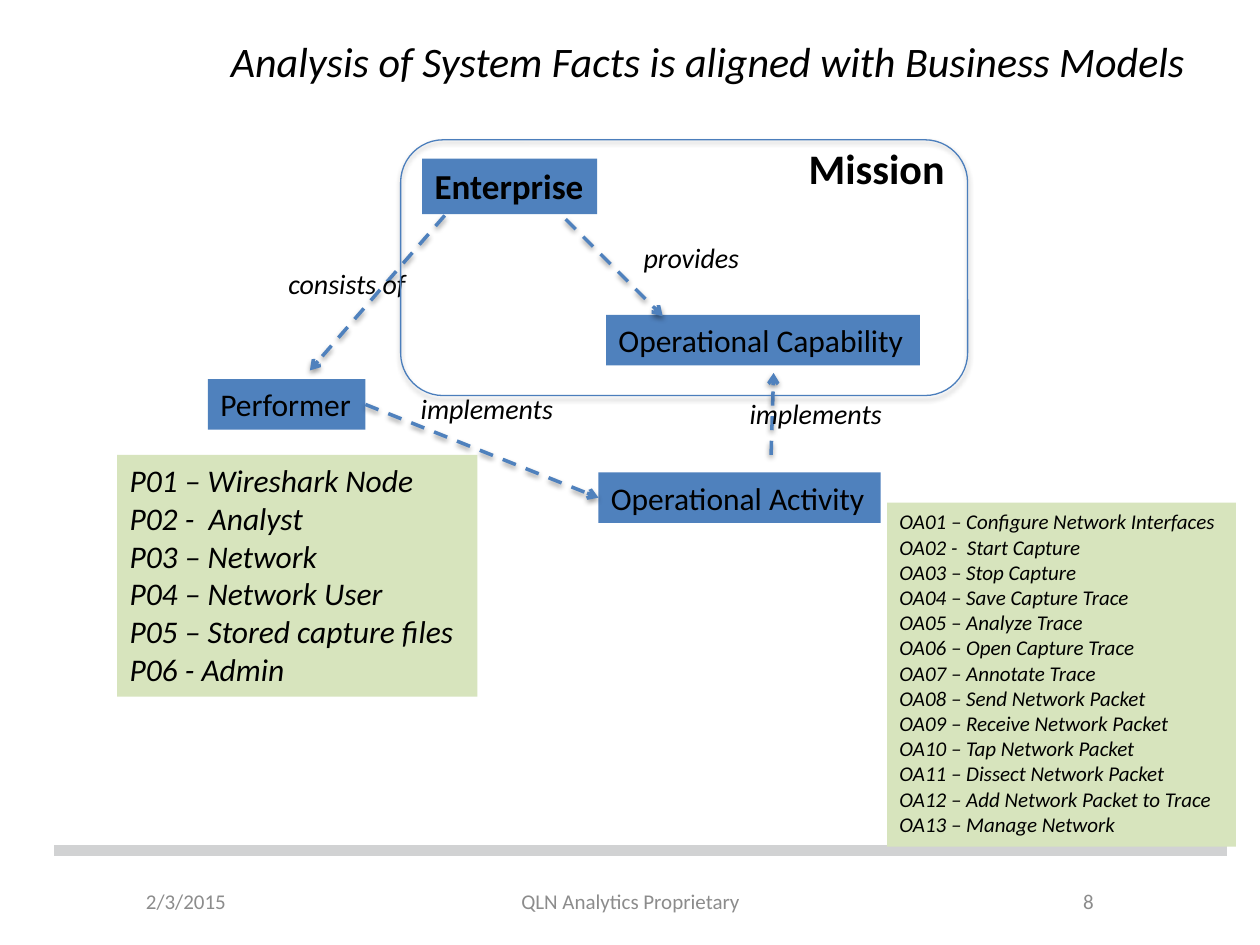
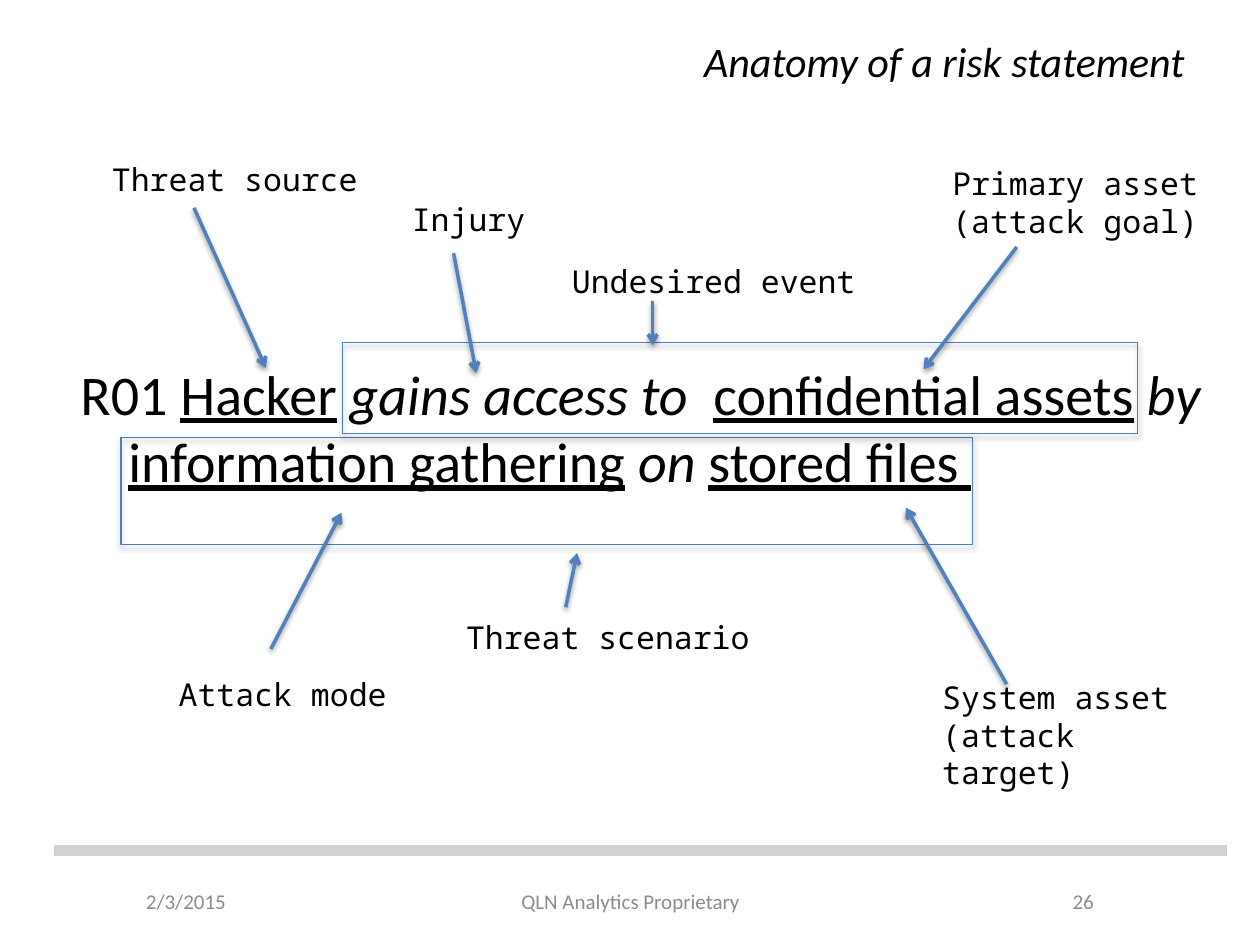
from lxml import etree
from pptx import Presentation, util as u
from pptx.dml.color import RGBColor
from pptx.enum import dml, shapes, text
from pptx.oxml import ns

PX = 9144  # EMU in one px, 100 px to the inch
INK = {"black": "000000", "grey": "8C8C8C", "band": "D1D2D3",
       "blue": "4F81BD", "edge": "4B7EBC", "green": "D7E4BD"}
SANS, MONO = "Calibri", "Noto Sans Mono"
RECT = shapes.MSO_SHAPE.RECTANGLE
ROUND = shapes.MSO_SHAPE.ROUNDED_RECTANGLE
ALIGN, ANCHOR = text.PP_ALIGN, text.MSO_ANCHOR


def px(*vals):
    return [u.Emu(v * PX) for v in vals]


def ink(name):
    return RGBColor.from_string(INK[name])


def node(top, tag, **attrs):
    return etree.SubElement(top, ns.qn(tag), {k: str(v) for k, v in attrs.items()})


def shade(effects, dist, alpha):
    """Soft shadow straight below."""
    drop = node(effects, "a:outerShdw", blurRad=u.Pt(3.1), dist=u.Pt(dist),
                dir=5400000, rotWithShape=0)
    node(node(drop, "a:srgbClr", val=INK["black"]), "a:alpha", val=alpha * 1000)


def write(shape, lines, size=18, font=SANS, color="black", bold=False, italic=False,
          align=ALIGN.LEFT, anchor=ANCHOR.TOP, wrap=False, grow=True, hang=0):
    """Fill a shape; a line is a string or a list of (string, style) runs."""
    frame = shape.text_frame
    frame.word_wrap, frame.vertical_anchor = wrap, anchor
    fit = text.MSO_AUTO_SIZE
    frame.auto_size = fit.SHAPE_TO_FIT_TEXT if grow else fit.NONE
    for n, line in enumerate([lines] if isinstance(lines, str) else lines):
        par = frame.add_paragraph() if n else frame.paragraphs[0]
        par.alignment = align
        if hang:
            props = par._p.get_or_add_pPr()
            props.set("marL", str(hang * PX))
            props.set("indent", str(-hang * PX))
        for words, style in [(line, "")] if isinstance(line, str) else line:
            run = par.add_run()
            run.text = words
            face = run.font
            face.name, face.size, face.bold = font, u.Pt(size), bold
            face.italic = italic or style == "i"
            face.underline = style == "u"
            face.color.rgb = ink(color)


class Deck:
    def __init__(self):
        self.prs = Presentation()
        self.prs.slide_width, self.prs.slide_height = px(1000, 750)
        self.slide = None

    def page(self, title, num):
        """New slide with title, band and footer."""
        self.slide = self.prs.slides.add_slide(self.prs.slide_layouts[6])
        foot = [(106, 177, "2/3/2015", ALIGN.LEFT),
                (717, 161, num, ALIGN.RIGHT),
                (342, 317, "QLN Analytics Proprietary", ALIGN.CENTER)]
        for x, w, words, align in foot:
            self.label(x, 695, w, 40, words, size=12, color="grey", align=align,
                       anchor=ANCHOR.MIDDLE, wrap=True, grow=False)
        self.line((43, 675), (974, 675), "band", 6)
        self.label(50, 21, 900, 55, title, size=24, italic=True, align=ALIGN.RIGHT,
                   anchor=ANCHOR.MIDDLE, wrap=True, grow=False)

    def label(self, x, y, w, h, lines, **fmt):
        write(self.slide.shapes.add_textbox(*px(x, y, w, h)), lines, **fmt)

    def card(self, x, y, w, h, lines, fill="blue", **fmt):
        box = self.slide.shapes.add_shape(RECT, *px(x, y, w, h))
        box.shadow.inherit = False
        box.fill.solid()
        box.fill.fore_color.rgb = ink(fill)
        box.line.fill.background()
        write(box, lines, **fmt)
        return box

    def frame(self, x, y, w, h, kind=RECT):
        box = self.slide.shapes.add_shape(kind, *px(x, y, w, h))
        box.fill.background()
        box.line.color.rgb = ink("edge")
        box.line.width = u.Pt(0.75)
        box.shadow.inherit = False
        shade(box._element.spPr.find(ns.qn("a:effectLst")), 1.8, 35)

    def line(self, start, end, color, width):
        """Plain line; gives back the connector and its effect list."""
        link = self.slide.shapes.add_connector(
            shapes.MSO_CONNECTOR.STRAIGHT, *px(*start, *end))
        link.line.color.rgb = ink(color)
        link.line.width = u.Pt(width)
        return link, node(link._element.spPr, "a:effectLst")

    def arrow(self, start, end, dash=False):
        link, effects = self.line(start, end, "blue", 2)
        if dash:
            link.line.dash_style = dml.MSO_LINE.DASH
        node(link.line._get_or_add_ln(), "a:tailEnd", type="arrow")
        shade(effects, 1.6, 38)
        return link


def models(deck):
    deck.page("Analysis of System Facts is aligned with Business Models", "8")

    # Model elements
    deck.card(335, 126, 139, 44, "Enterprise", size=20, bold=True)
    actor = deck.card(165, 301, 125, 40, "Performer")
    deck.arrow((353, 171), (246, 294), dash=True)
    deck.card(481, 250, 249, 40, "Operational Capability")
    deck.arrow((449, 174), (526, 251), dash=True)
    task = deck.card(475, 375, 224, 40, "Operational Activity")
    deck.arrow((612, 361), (614, 296), dash=True)
    link = deck.arrow((290, 321), (475, 395), dash=True)
    link.begin_connect(actor, 3)
    link.end_connect(task, 1)

    # Relation names
    for x, y, w, words in [(219, 207, 120, "consists of"), (501, 186, 102, "provides"),
                           (585, 310, 132, "implements"), (324, 306, 132, "implements")]:
        deck.label(x, y, w, 37, words, size=16, italic=True)

    # Performers
    deck.card(93, 361, 286, 192, [
        "P01 – Wireshark Node", "P02 -  Analyst", "P03 – Network",
        "P04 – Network User", "P05 – Stored capture files", "P06 - Admin",
    ], fill="green", italic=True)

    # Mission
    deck.frame(318, 111, 450, 203, ROUND)
    deck.label(632, 108, 139, 50, "Mission", size=24, bold=True, wrap=True)

    # Activities
    acts = ["Configure Network Interfaces", "Start Capture", "Stop Capture",
            "Save Capture Trace", "Analyze Trace", "Open Capture Trace",
            "Annotate Trace", "Send Network Packet", "Receive Network Packet",
            "Tap Network Packet", "Dissect Network Packet",
            "Add Network Packet to Trace", "Manage Network"]
    deck.card(704, 399, 277, 273,
              [f"OA{n:02} {'-  ' if n == 2 else '– '}{act}" for n, act in enumerate(acts, 1)],
              fill="green", size=12, italic=True)


def risk(deck):
    deck.page("Anatomy of a risk statement", "26")

    # Statement
    deck.label(54, 280, 914, 141, [[
        ("R01 ", ""), ("Hacker", "u"), (" ", ""), ("gains access to  ", "i"),
        ("confidential assets", "u"), (" ", ""), ("by ", "i"),
        ("information gathering", "u"), (" ", ""), ("on ", "i"), ("stored files ", "u"),
    ]], size=32, wrap=True, grow=False, hang=38)

    # Scenario and event frames
    deck.frame(96, 347, 676, 85)
    deck.frame(272, 272, 631, 72)

    # Callouts: box, words, arrow
    for box, words, start, end in [
        ((79, 122, 217, 40), "Threat source", (154, 165), (211, 292)),
        ((317, 154, 125, 40), "Injury", (360, 201), (378, 296)),
        ((746, 125, 217, 71), "Primary asset (attack goal)", (807, 196), (733, 293)),
        ((132, 531, 217, 40), "Attack mode", (215, 515), (271, 407)),
        ((738, 533, 217, 101), "System asset (attack target)", (799, 543), (719, 403)),
        ((360, 486, 261, 40), "Threat scenario", (449, 482), (458, 439)),
        ((444, 203, 261, 40), "Undesired event", (518, 239), (518, 274)),
    ]:
        deck.label(*box, words, font=MONO, wrap=words != "Threat source")
        deck.arrow(start, end)


def main():
    deck = Deck()
    models(deck)
    risk(deck)
    deck.prs.save("out.pptx")


if __name__ == "__main__":
    main()
